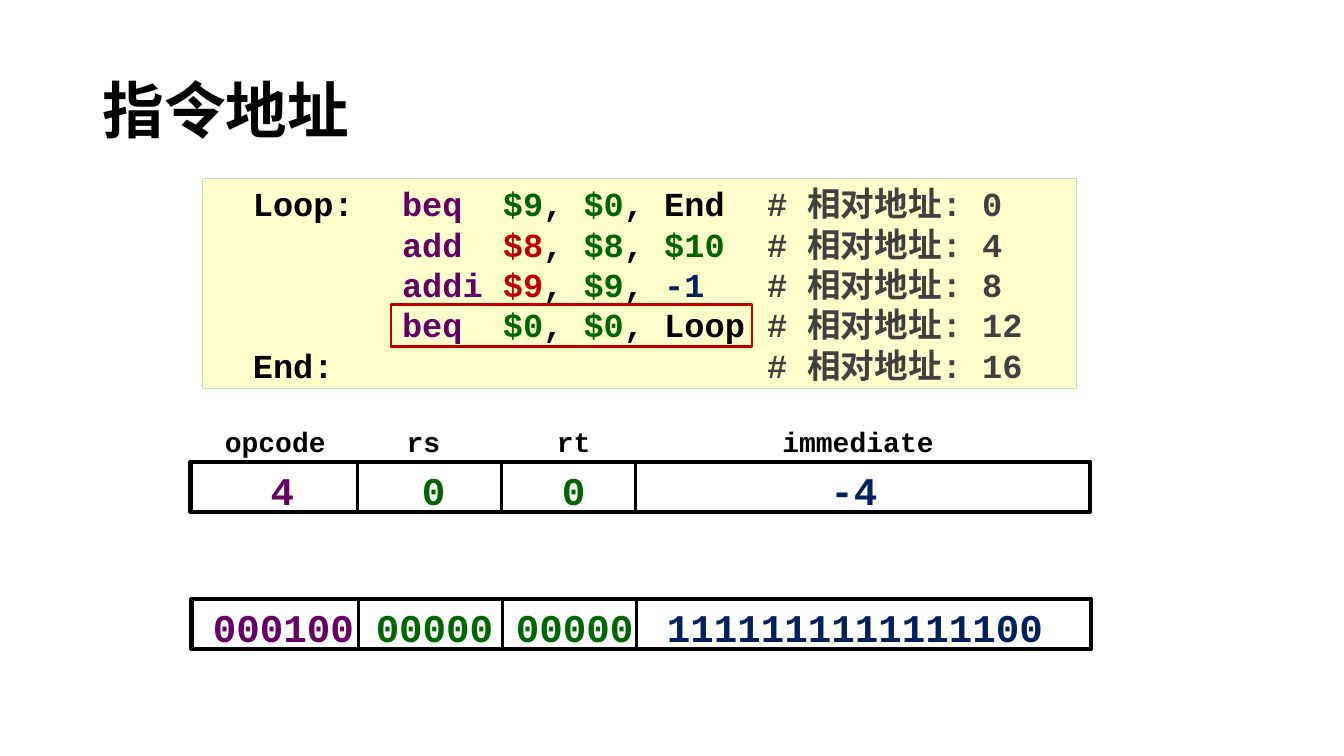
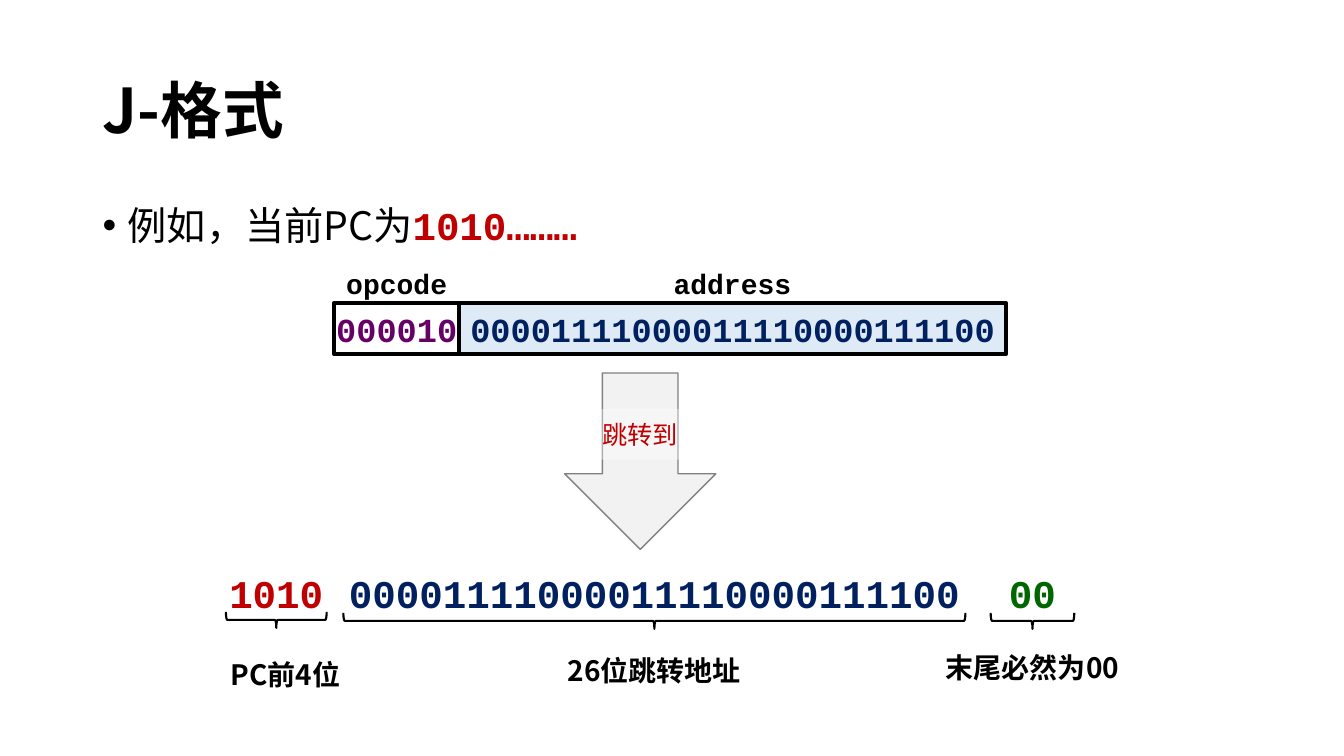
import pptx
import pptx.util
import pptx.dml.color
import pptx.enum.shapes
import pptx.enum.text
import pptx.oxml.ns
from lxml import etree

INK = {
    "text": "000000", "op": "660066", "reg": "006600", "dest": "C00000",
    "imm": "002060", "note": "404040", "cream": "FFFFCC", "leaf": "C5E0B4",
    "sky": "DEEBF7", "pale": "F2F2F2", "gray": "808080", "white": "FFFFFF",
}
MONO, SANS = "Courier New", "Noto Sans CJK SC"
WIDE, HIGH = 13.33, 7.5

# Slide 1: code as (text, colour) runs, each line with its relative address
CODE = [
    [("  Loop:\t", "text"), ("beq  ", "op"), ("$9", "reg"), (", ", "text"),
     ("$0", "reg"), (", End\t", "text")],
    [("\t", "text"), ("add  ", "op"), ("$8", "dest"), (", ", "text"),
     ("$8", "reg"), (", ", "text"), ("$10\t", "reg")],
    [("\t", "text"), ("addi ", "op"), ("$9", "dest"), (", ", "text"),
     ("$9", "reg"), (", ", "text"), ("-1\t", "imm")],
    [("\t", "text"), ("beq  ", "op"), ("$0", "reg"), (", ", "text"),
     ("$0", "reg"), (", Loop\t", "text")],
    [("  End:\t\t\t", "text")],
]
TABS = (1.88, 2.5, 5.5)
STEP = 4  # bytes per instruction

# Instruction fields: name, centre of name, centre of value, colour, right edge
FIELDS = [
    ("opcode", 2.73, 2.8, "op", 3.55),
    ("rs", 4.2, 4.3, "reg", 4.97),
    ("rt", 5.69, 5.69, "reg", 6.3),
    ("immediate", 8.51, 8.47, "imm", 10.81),
]
ROWS = [(1.89, 4.58, ("4", "0", "0", "-4")),
        (1.9, 5.94, ("000100", "00000", "00000", "1111111111111100"))]

# Slide 2: jump format
JUMP = "00001111000011110000111100"
CELLS = [("opcode", "000010", "op", None, 3.31, 1.25),
         ("address", JUMP, "imm", "sky", 4.55, 5.43)]
# bits, colour, centre, brace width, brace top, note, its centre and top
PARTS = [
    ("1010", "dest", 2.74, 1, 6.07, "PC前4位", 2.83, 6.47),
    (JUMP, "imm", 6.49, 6.17, 6.08, "26位跳转地址", 6.49, 6.43),
    ("00", "reg", 10.24, 0.83, 6.08, "末尾必然为00", 10.24, 6.4),
]

inch = pptx.util.Inches
KIND = pptx.enum.shapes.MSO_SHAPE
ALIGN = {"l": pptx.enum.text.PP_ALIGN.LEFT, "c": pptx.enum.text.PP_ALIGN.CENTER}
ANCHOR = {"t": pptx.enum.text.MSO_ANCHOR.TOP, "m": pptx.enum.text.MSO_ANCHOR.MIDDLE}


def tint(key):
    return pptx.dml.color.RGBColor.from_string(INK[key])


def node(up, tag, **attrs):
    return etree.SubElement(up, pptx.oxml.ns.qn(tag), attrs)


def write(shape, lines, size=20, font=MONO, bold=True, color="text", align="c",
          anchor="t", wrap=True, space=None, tabs=(), bullet=None):
    """Fill a shape with lines: a string, or lists of (text, colour[, font, bold])."""
    frame = shape.text_frame
    frame.word_wrap = wrap
    frame.vertical_anchor = ANCHOR[anchor]
    if isinstance(lines, str):
        lines = [[(lines, color)]]
    for i, runs in enumerate(lines):
        para = frame.add_paragraph() if i else frame.paragraphs[0]
        para.alignment = ALIGN[align]
        props = para._p.get_or_add_pPr()
        if bullet:
            props.set("marL", str(inch(0.25)))
            props.set("indent", str(-inch(0.25)))
            node(props, "a:buFont", typeface="Arial")
            node(props, "a:buChar", char=bullet)
        if tabs:
            stops = node(props, "a:tabLst")
            for pos in tabs:
                node(stops, "a:tab", pos=str(inch(pos)), algn="l")
        if space:
            para.line_spacing = space
        for text, key, *style in runs:
            face, heavy = style or (font, bold)
            run = para.add_run()
            run.text = text
            run.font.size = pptx.util.Pt(size)
            run.font.bold = heavy
            run.font.color.rgb = tint(key)
            run.font.name = face
            node(run._r.get_or_add_rPr(), "a:ea", typeface=SANS)


def label(slide, lines, x, y, w, h, **form):
    write(slide.shapes.add_textbox(*map(inch, (x, y, w, h))), lines, **form)


def mid(slide, text, x, y, w=None, h=0.44, size=20, **form):
    """Centre one line on x; a fixed-pitch letter is 0.6 of its size wide."""
    w = w or len(text) * size * 0.6 / 72 + 0.22
    label(slide, text, x - w / 2, y, w, h, size=size, wrap=False, **form)


def block(slide, x, y, w, h, kind=KIND.RECTANGLE, fill=None, line="text", pts=3):
    shape = slide.shapes.add_shape(kind, *map(inch, (x, y, w, h)))
    shape.shadow.inherit = False
    if fill:
        shape.fill.solid()
        shape.fill.fore_color.rgb = tint(fill)
    else:
        shape.fill.background()
    if line:
        shape.line.color.rgb = tint(line)
        shape.line.width = pptx.util.Pt(pts)
    else:
        shape.line.fill.background()
    return shape


def rule(slide, x, y, h):
    line = slide.shapes.add_connector(
        pptx.enum.shapes.MSO_CONNECTOR.STRAIGHT, *map(inch, (x, y, x, y + h)))
    line.line.color.rgb = tint("text")
    line.line.width = pptx.util.Pt(2.25)
    node(line._element.spPr, "a:effectLst")


def start(deck, title):
    slide = deck.slides.add_slide(deck.slide_layouts[6])
    label(slide, title, 0.92, 0.4, 11.5, 1.45, size=44, font=SANS,
          align="l", anchor="m", space=0.9)
    return slide


def address(deck):
    slide = start(deck, "指令地址")
    # Field names and the two encoded rows
    for name, spot, *_ in FIELDS:
        mid(slide, name, spot, 4.16)
    for left, y, vals in ROWS:
        shift = left - ROWS[0][0]
        for (_, _, spot, key, _), val in zip(FIELDS, vals):
            mid(slide, val, spot + shift, y, h=0.57, size=28, color=key)
        block(slide, left, y, 8.92, 0.5)
        for field in FIELDS[:-1]:
            rule(slide, field[-1] + shift, y, 0.5)
    # Code panel with the encoded line framed
    panel = block(slide, 2.01, 1.77, 8.67, 2.08, fill="cream", line="leaf", pts=0.75)
    lines = [runs + [(f"# 相对地址: {i * STEP}", "note")] for i, runs in enumerate(CODE)]
    write(panel, lines, size=24, align="l", tabs=TABS, space=pptx.util.Pt(28.8))
    block(slide, 3.88, 3.02, 3.58, 0.42, line="dest", pts=1.75)


def jump(deck):
    slide = start(deck, "J-格式")
    label(slide, [[("例如，当前PC为", "text", SANS, False), ("1010………", "dest", MONO, True)]],
          0.92, 2, 11.5, 0.64, size=28, align="l", bullet="•", space=0.9)
    # Instruction word
    for name, bits, key, fill, x, w in CELLS:
        label(slide, name, x, 2.59, w, 0.44)
        write(block(slide, x, 3.01, w, 0.5, fill=fill), bits, size=24,
              color=key, anchor="m", wrap=False)
    # Arrow and its veiled caption
    block(slide, 5.6, 3.7, 1.5, 1.75, KIND.DOWN_ARROW, "pale", "gray", 1)
    veil = block(slide, 5.35, 4.06, 2, 0.5, fill="white", line=None)
    color = veil._element.spPr.find(".//" + pptx.oxml.ns.qn("a:srgbClr"))
    node(color, "a:alpha", val="36000")
    write(veil, "跳转到", size=18, font=SANS, bold=False, color="dest", anchor="m")
    # Target address, braced and explained
    deep = 0.16
    for bits, key, spot, span, top, note, home, y in PARTS:
        mid(slide, bits, spot, 5.63, h=0.5, size=28, color=key, anchor="m")
        brace = block(slide, spot - deep / 2, top + deep / 2 - span / 2, deep, span,
                      KIND.RIGHT_BRACE, pts=1.5)
        brace.rotation = 90
        mid(slide, note, home, y, w=2, font=SANS)


def main():
    deck = pptx.Presentation()
    deck.slide_width, deck.slide_height = inch(WIDE), inch(HIGH)
    address(deck)
    jump(deck)
    deck.save("out.pptx")


if __name__ == "__main__":
    main()
